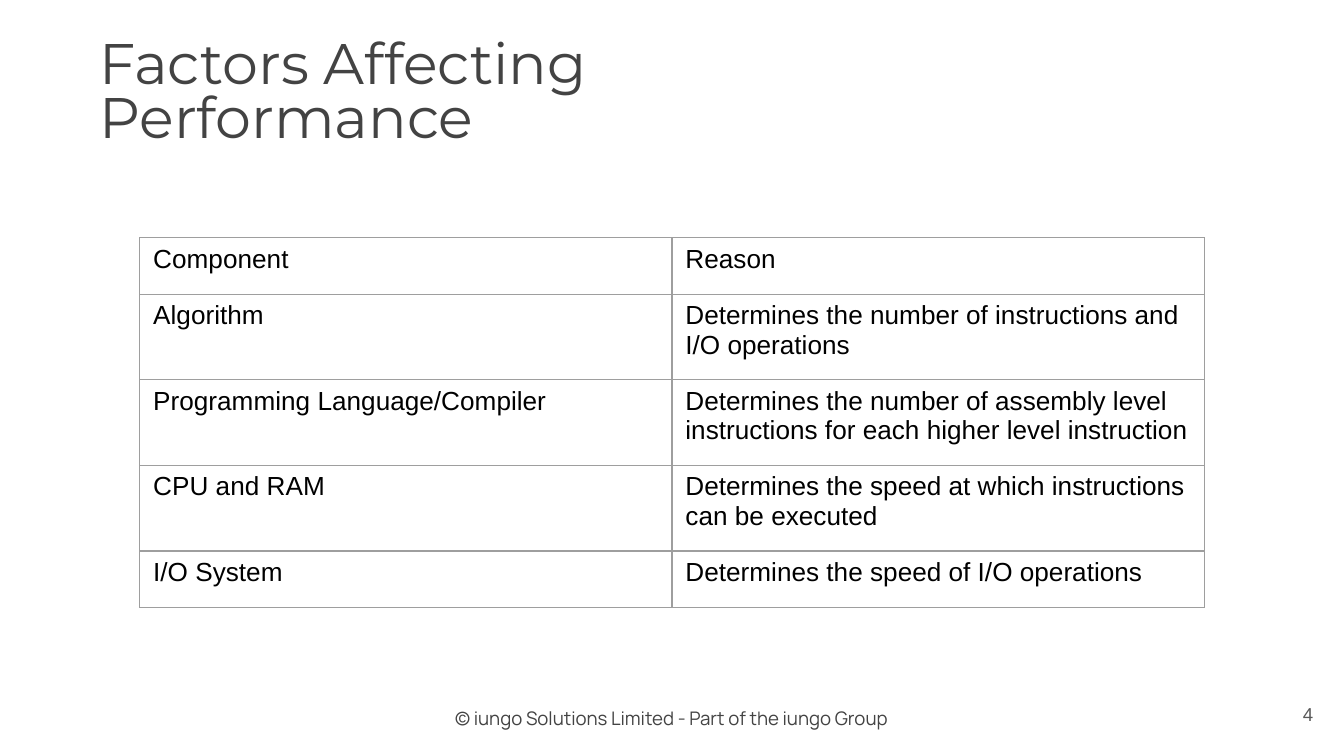
from lxml import etree
from pptx import Presentation
from pptx import util as u
from pptx.dml.color import RGBColor
from pptx.enum import text
from pptx.oxml import ns

COLORS = {"heading": "434343", "number": "595959", "body": "000000",
          "border": "9E9E9E"}


def format_paragraph(paragraph, font_name, size, color):
    for run in paragraph.runs:
        run.font.name = font_name
        run.font.size = u.Pt(size)
        run.font.color.rgb = RGBColor.from_string(COLORS[color])


def add_label(slide, box, content, font_name, size, color):
    label = slide.shapes.add_textbox(*[u.Inches(value) for value in box])
    frame = label.text_frame
    frame.word_wrap = True
    frame.margin_left = frame.margin_right = u.Inches(0.1)
    frame.margin_top = frame.margin_bottom = u.Inches(0.1)
    frame.text = content
    format_paragraph(frame.paragraphs[0], font_name, size, color)
    return frame


presentation = Presentation()
presentation.slide_width = u.Inches(10)
presentation.slide_height = u.Inches(10 * 9 / 16)
slide = presentation.slides.add_slide(presentation.slide_layouts[6])

footer = add_label(slide, (2.69, 5.13, 4.61, 0.4),
                   "© iungo Solutions Limited - Part of the iungo Group",
                   "Manrope", 10, "heading")
footer.paragraphs[0].alignment = text.PP_ALIGN.CENTER
footer.paragraphs[0].line_spacing = 1.2
footer.paragraphs[0].space_after = u.Pt(4)

number = add_label(slide, (9.27, 5.1, 0.6, 0.43), "4", "Arial", 10, "number")
number.vertical_anchor = text.MSO_ANCHOR.MIDDLE
number.paragraphs[0].alignment = text.PP_ALIGN.RIGHT

title = add_label(slide, (0.64, 0.2, 6.47, 0.63),
                  "Factors Affecting Performance", "Montserrat", 30.6, "heading")
title.paragraphs[0].line_spacing = 0.8

table_height = 2.75
short_row = 0.42
tall_row = (table_height - 2 * short_row) / 3
factors = [
    ("Component", "Reason", short_row),
    ("Algorithm",
     "Determines the number of instructions and I/O operations", tall_row),
    ("Programming Language/Compiler",
     "Determines the number of assembly level instructions "
     "for each higher level instruction", tall_row),
    ("CPU and RAM",
     "Determines the speed at which instructions can be executed", tall_row),
    ("I/O System", "Determines the speed of I/O operations", short_row),
]
table = slide.shapes.add_table(len(factors), 2, u.Inches(1.04), u.Inches(1.77),
                               u.Inches(7.92), u.Inches(table_height)).table
table.first_row = False
table.horz_banding = False
for column in table.columns:
    column.width = u.Inches(3.96)

for row_index, (component, reason, height) in enumerate(factors):
    table.rows[row_index].height = u.Inches(height)
    for column_index, content in enumerate((component, reason)):
        cell = table.cell(row_index, column_index)
        cell.text_frame.text = content
        format_paragraph(cell.text_frame.paragraphs[0], "Arial", 14, "body")
        properties = cell._tc.get_or_add_tcPr()
        for edge in ("lnL", "lnR", "lnT", "lnB"):
            line = etree.SubElement(properties, ns.qn(f"a:{edge}"),
                                    w=str(u.Pt(0.75)))
            fill = etree.SubElement(line, ns.qn("a:solidFill"))
            etree.SubElement(fill, ns.qn("a:srgbClr"), val=COLORS["border"])
        cell.fill.background()

presentation.save("out.pptx")
